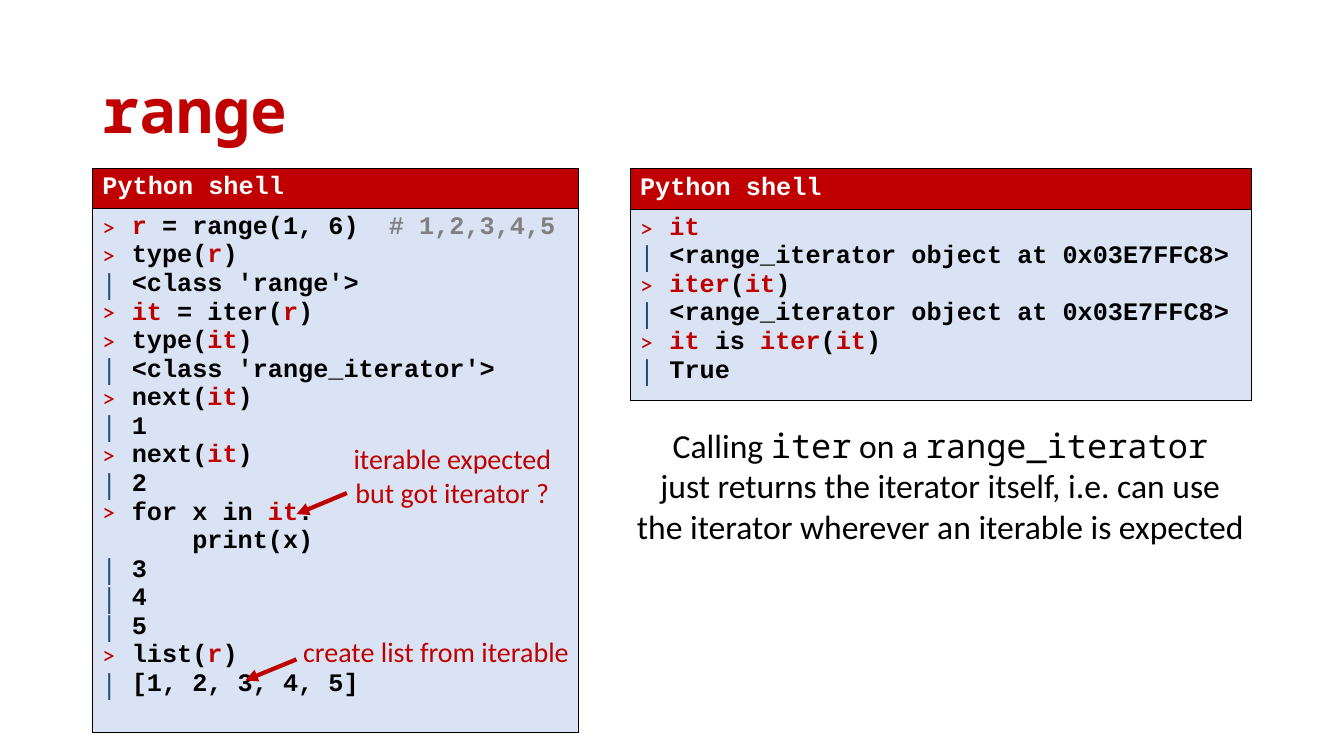
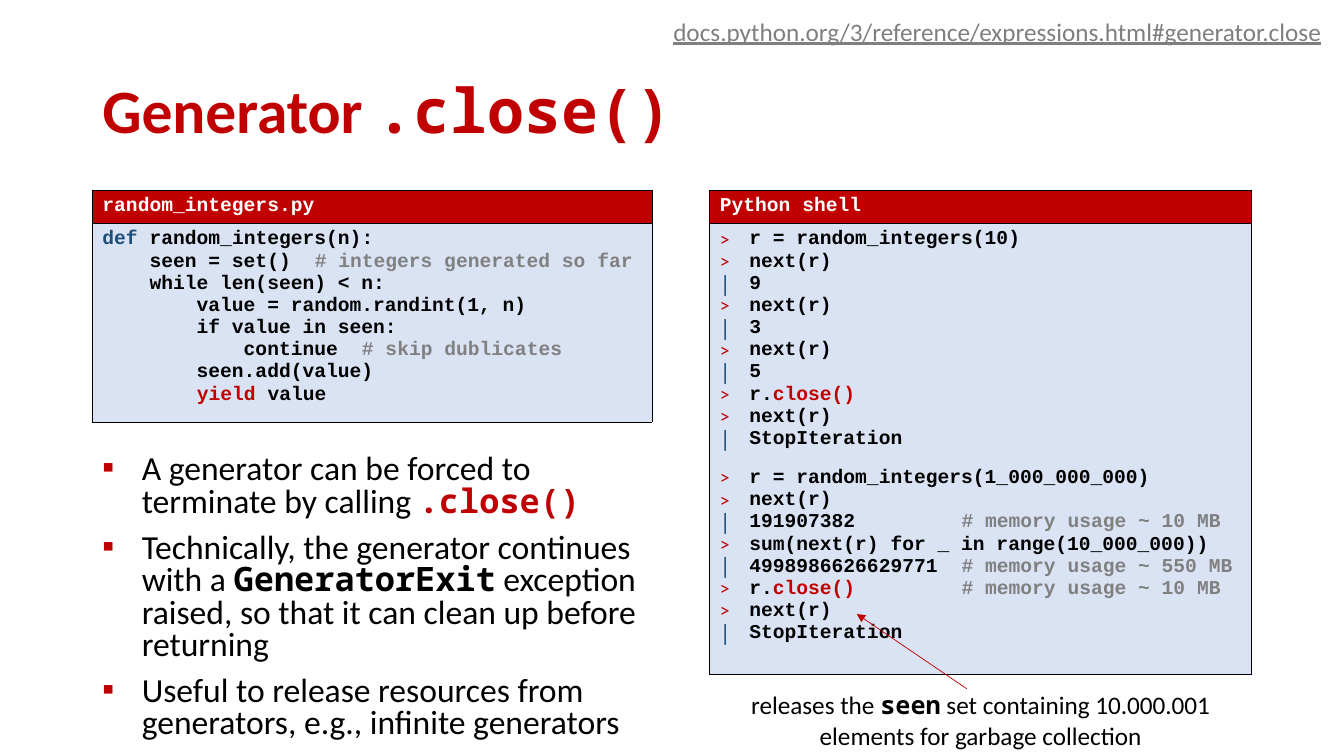
from lxml.etree import SubElement
from pptx import Presentation
from pptx.dml.color import RGBColor
from pptx.enum.shapes import MSO_CONNECTOR
from pptx.enum.text import MSO_ANCHOR as Anchor, PP_ALIGN as Align
from pptx.oxml.ns import qn
from pptx.util import Inches, Pt

RED = RGBColor(0xC0, 0x00, 0x00)
BLUE = RGBColor(0x1F, 0x4E, 0x79)
PALE = RGBColor(0xDA, 0xE3, 0xF3)
BLACK = RGBColor(0x00, 0x00, 0x00)
WHITE = RGBColor(0xFF, 0xFF, 0xFF)
COMMENT = RGBColor(0x80, 0x80, 0x80)
LINK = RGBColor(0x7F, 0x7F, 0x7F)
SANS, CODE, MONO = "Calibri", "Courier New", "Noto Sans Mono"
COLUMNS, ROWS = 160, 90
LEFT, RIGHT_EDGE = 11, 149
MARK = "§"
PROMPTS = {">": (RED, 100), "|": (BLUE, 120)}


def mark_code(run):
    if run.text.startswith("#"):
        run.font.color.rgb = COMMENT
    else:
        run.font.color.rgb = BLUE if run.text == "def" else RED


def mark_mono(run):
    run.font.name = MONO


def mark_bold_mono(run):
    mark_mono(run)
    run.font.bold = True


def mark_red_mono(run):
    mark_bold_mono(run)
    run.font.color.rgb = RED


class Deck:
    def __init__(self):
        self.presentation = Presentation()
        self.presentation.slide_width = Inches(40 / 3)
        self.presentation.slide_height = Inches(7.5)
        self.slide = None

    def x(self, columns):
        return round(self.presentation.slide_width * columns / COLUMNS)

    def y(self, rows):
        return round(self.presentation.slide_height * rows / ROWS)

    def area(self, left, top, width, height):
        return self.x(left), self.y(top), self.x(width), self.y(height)

    def add_slide(self, title):
        layout = self.presentation.slide_layouts[6]
        self.slide = self.presentation.slides.add_slide(layout)
        frame = self.add_frame(LEFT, 4.8, RIGHT_EDGE - LEFT, 17.4)
        frame.vertical_anchor = Anchor.MIDDLE
        paragraph = frame.paragraphs[0]
        paragraph.line_spacing = 0.9
        self.add_text(paragraph, title, SANS, 44, RED, True, mark_mono)

    def add_frame(self, *area):
        frame = self.slide.shapes.add_textbox(*self.area(*area)).text_frame
        frame.word_wrap = True
        return frame

    def add_text(self, paragraph, text, name, size, color, bold=False, mark=mark_mono):
        font = paragraph.font
        font.name, font.size, font.bold = name, Pt(size), bold
        font.color.rgb = color
        for index, part in enumerate(text.split(MARK)):
            for number, line in enumerate(part.split("\n")):
                if number:
                    paragraph.add_line_break()
                if line:
                    run = paragraph.add_run()
                    run.text = line
                    if index % 2:
                        mark(run)

    def add_bullet(self, paragraph, symbol, indent, color, percent=100):
        properties = paragraph._p.get_or_add_pPr()
        properties.set("marL", str(self.x(indent)))
        properties.set("indent", str(-self.x(indent)))
        bullet_color = SubElement(properties, qn("a:buClr"))
        SubElement(bullet_color, qn("a:srgbClr"), val=str(color))
        SubElement(properties, qn("a:buSzPct"), val=str(percent * 1000))
        SubElement(properties, qn("a:buFont"), typeface=SANS)
        SubElement(properties, qn("a:buChar"), char=symbol)

    def add_note(self, area, text, size, color=BLACK, align=Align.CENTER, mark=mark_mono):
        paragraph = self.add_frame(*area).paragraphs[0]
        paragraph.alignment = align
        self.add_text(paragraph, text, SANS, size, color, mark=mark)
        return paragraph

    def add_bullets(self, area, items):
        frame = self.add_frame(*area)
        for index, (text, mark) in enumerate(items):
            paragraph = frame.add_paragraph() if index else frame.paragraphs[0]
            paragraph.line_spacing = 0.8
            if index:
                paragraph.space_before = Pt(10)
            self.add_bullet(paragraph, "▪", 4.7, RED)
            self.add_text(paragraph, text, SANS, 24, BLACK, mark=mark)

    def style_cell(self, cell, color):
        properties = cell._tc.get_or_add_tcPr()
        for side in ("lnL", "lnR", "lnT", "lnB"):
            border = SubElement(properties, qn("a:" + side), w=str(Pt(0.5)))
            fill = SubElement(border, qn("a:solidFill"))
            SubElement(fill, qn("a:srgbClr"), val=str(BLACK))
        cell.fill.solid()
        cell.fill.fore_color.rgb = color

    def add_code(self, area, header_height, title, blocks, size):
        table = self.slide.shapes.add_table(2, 1, *self.area(*area)).table
        table.first_row = table.horz_banding = False
        table.rows[0].height = self.y(header_height)
        table.rows[1].height = self.y(area[3] - header_height)
        header, body = table.cell(0, 0), table.cell(1, 0)
        self.style_cell(header, RED)
        self.style_cell(body, PALE)
        header.vertical_anchor = Anchor.MIDDLE
        frame = body.text_frame
        self.add_text(header.text_frame.paragraphs[0], title, CODE, size, WHITE, True)
        paragraph = None
        for block in blocks:
            if paragraph is not None:
                paragraph.space_after = Pt(12)
            for line in block:
                paragraph = frame.paragraphs[0] if paragraph is None else frame.add_paragraph()
                if line[0] in PROMPTS:
                    self.add_bullet(paragraph, line[0], 3.5, *PROMPTS[line[0]])
                    line = line[2:]
                self.add_text(paragraph, line, CODE, size, BLACK, True, mark_code)

    def add_arrow(self, start, end, width):
        connector = self.slide.shapes.add_connector(
            MSO_CONNECTOR.STRAIGHT,
            self.x(start[0]), self.y(start[1]), self.x(end[0]), self.y(end[1]))
        connector.line.color.rgb = RED
        connector.line.width = Pt(width)
        SubElement(connector.line._get_or_add_ln(), qn("a:tailEnd"), type="triangle")
        SubElement(connector._element.spPr, qn("a:effectLst"))


def add_range_slide(deck):
    deck.add_slide("§range§")
    deck.add_code((LEFT, 20, 57.8, 63.7), 4.7, "Python shell", [[
        "> §r§ = range(1, 6)  §# 1,2,3,4,5§",
        "> type(§r§)",
        "| <class 'range'>",
        "> §it§ = iter(§r§)",
        "> type(§it§)",
        "| <class 'range_iterator'>",
        "> next(§it§)",
        "| 1",
        "> next(§it§)",
        "| 2",
        "> for x in §it§:\n    print(x)",
        "| 3",
        "| 4",
        "| 5",
        "> list(§r§)",
        "| [1, 2, 3, 4, 5]",
    ]], 18)
    deck.add_code((75, 20, 74, 27.6), 4.9, "Python shell", [[
        "> §it§",
        "| <range_iterator object at 0x03E7FFC8>",
        "> §iter§(§it§)",
        "| <range_iterator object at 0x03E7FFC8>",
        "> §it§ is §iter§(§it§)",
        "| True",
    ]], 18)
    deck.add_arrow((41.3, 58.7), (35.3, 61.2), 3)
    deck.add_note((38.8, 52, 30.1, 9.2), "iterable expected but got iterator ?", 20, RED)
    deck.add_arrow((35.3, 78.5), (29.2, 81), 3)
    deck.add_note((33.6, 74.9, 36.6, 5.3), "create list from iterable", 20, RED)
    deck.add_note(
        (74.5, 50, 74.9, 15.7),
        "Calling §iter§ on a §range_iterator§\njust returns the iterator itself, i.e. can use "
        "the iterator wherever an iterable is expected", 24)


def add_close_slide(deck):
    deck.add_slide("Generator §.close()§")
    deck.add_bullets((LEFT, 53.6, 66.6, 36.4), [
        ("A generator can be forced to terminate by calling §.close()§", mark_red_mono),
        ("Technically, the generator continues with a §GeneratorExit§ exception raised, "
         "so that it can clean up before returning", mark_bold_mono),
        ("Useful to release resources from generators, e.g., infinite generators", mark_mono),
    ])
    deck.add_code((LEFT, 22.6, 66.6, 26.2), 3.8, "random_integers.py", [[
        "§def§ random_integers(n):",
        "    seen = set()  §# integers generated so far§",
        "    while len(seen) < n:",
        "        value = random.randint(1, n)",
        "        if value in seen:",
        "            continue  §# skip dublicates§",
        "        seen.add(value)",
        "        §yield§ value",
    ]], 14)
    deck.add_code((84.5, 22.6, 64.5, 54.4), 3.8, "Python shell", [[
        "> r = random_integers(10)",
        "> next(r)",
        "| 9",
        "> next(r)",
        "| 3",
        "> next(r)",
        "| 5",
        "> r.§close()§",
        "> next(r)",
        "| StopIteration",
    ], [
        "> r = random_integers(1_000_000_000)",
        "> next(r)",
        "| 191907382         §# memory usage ~ 10 MB§",
        "> sum(next(r) for _ in range(10_000_000))",
        "| 4998986626629771  §# memory usage ~ 550 MB§",
        "> r.§close()§         §# memory usage ~ 10 MB§",
        "> next(r)",
        "| StopIteration",
    ]], 14)
    deck.add_arrow((115.1, 82), (102, 73.1), 0.5)
    deck.add_note(
        (84.5, 81.5, 64.5, 8.5),
        "releases the §seen§ set containing 10.000.001 elements for garbage collection",
        18, mark=mark_bold_mono)
    link = deck.add_note(
        (76.4, 1.3, 82.1, 8.5),
        "docs.python.org/3/reference/expressions.html#generator.close", 18, LINK, Align.RIGHT)
    link.font.underline = True


def main():
    deck = Deck()
    add_range_slide(deck)
    add_close_slide(deck)
    deck.presentation.save("out.pptx")


if __name__ == "__main__":
    main()
